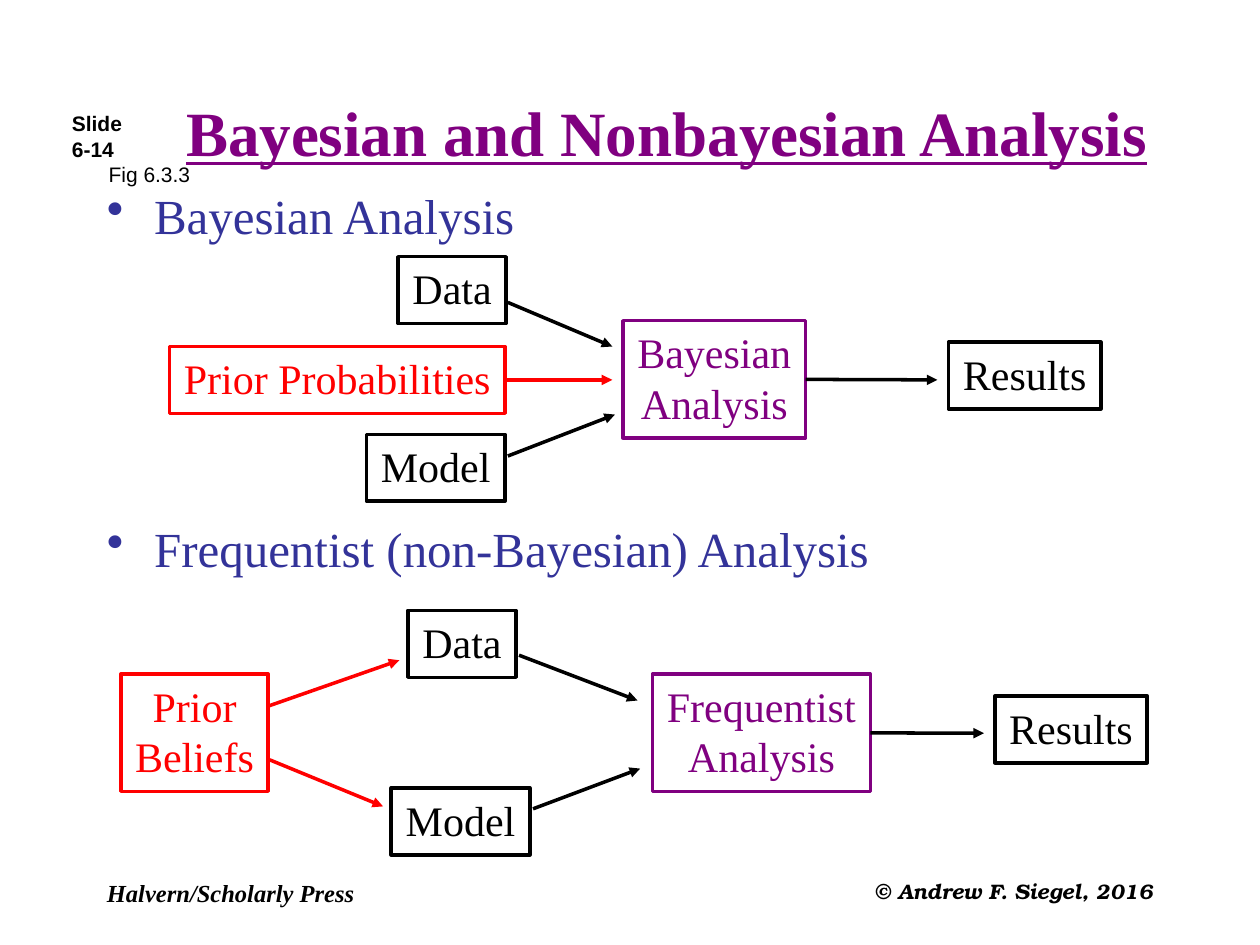
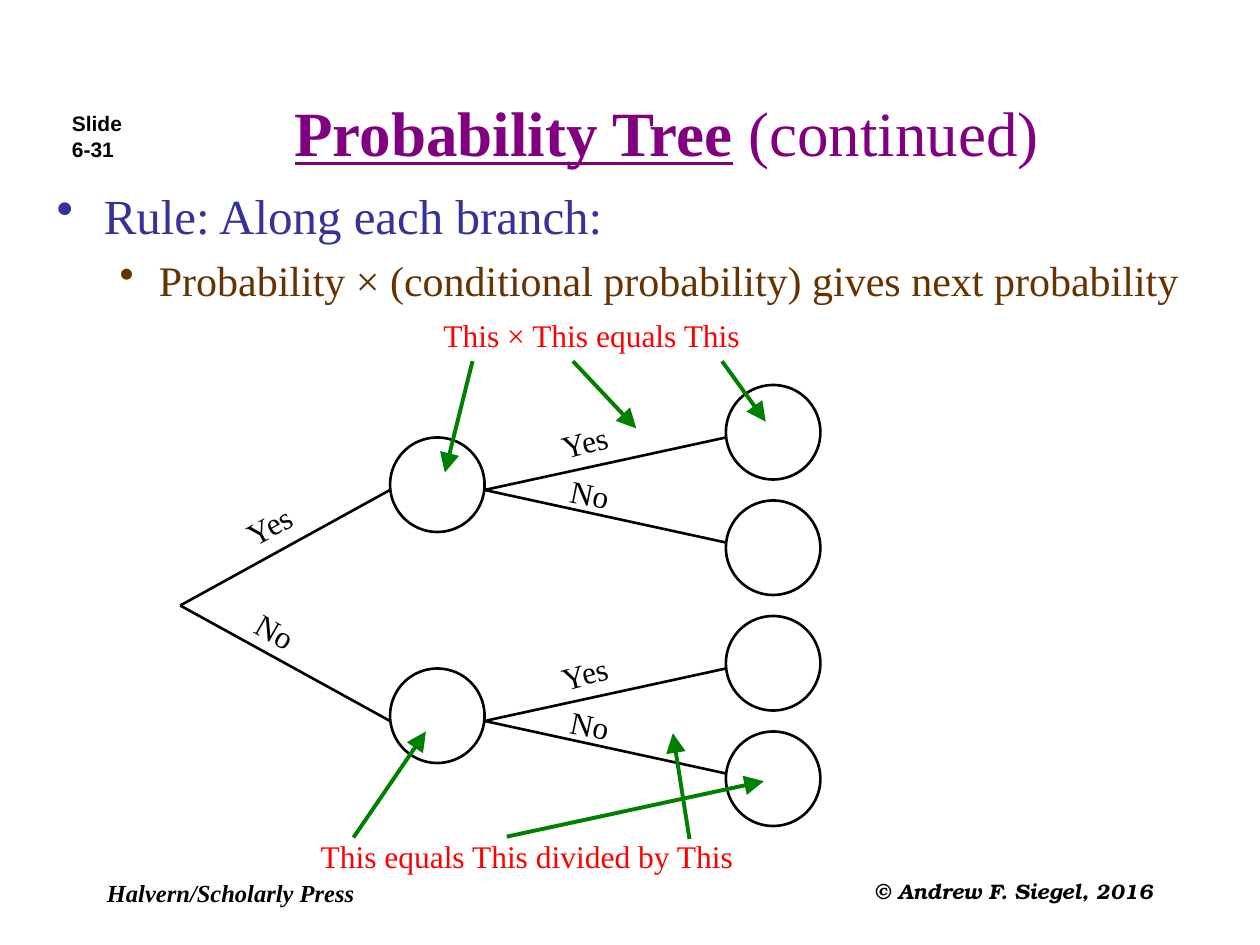
from lxml.etree import SubElement
from pptx import Presentation
from pptx.dml.color import RGBColor
from pptx.enum.shapes import MSO_CONNECTOR, MSO_SHAPE
from pptx.enum.text import MSO_ANCHOR, PP_ALIGN
from pptx.oxml.ns import qn
from pptx.util import Pt

BLACK = RGBColor(0x00, 0x00, 0x00)
RED = RGBColor(0xFF, 0x00, 0x00)
GREEN = RGBColor(0x00, 0x80, 0x00)
PURPLE = RGBColor(0x80, 0x00, 0x80)
BLUE = RGBColor(0x33, 0x33, 0x99)
BROWN = RGBColor(0x66, 0x33, 0x00)

SERIF = "Times New Roman"
TITLE = {"name": SERIF, "size": Pt(36), "bold": True, "underline": True}
TITLE_NOTE = {"name": SERIF, "size": Pt(36), "bold": False, "underline": False}
NUMBER = {"name": "Arial", "size": Pt(12), "bold": True}
CAPTION = {"name": "Arial", "size": Pt(12)}
BULLET = {"name": SERIF, "size": Pt(28)}
BOX = {"name": SERIF, "size": Pt(24)}
LABEL = {"name": SERIF, "size": Pt(18)}
PUBLISHER = {"name": SERIF, "size": Pt(14), "bold": True, "italic": True}
COPYRIGHT = {"name": "TeX Gyre Bonum", "size": Pt(12), "bold": True, "italic": True}


def write_text(shape, paragraphs, color, alignment=PP_ALIGN.LEFT, anchor=MSO_ANCHOR.TOP):
    frame = shape.text_frame
    frame.word_wrap = alignment != PP_ALIGN.CENTER
    frame.vertical_anchor = anchor
    for index, runs in enumerate(paragraphs):
        paragraph = frame.add_paragraph() if index else frame.paragraphs[0]
        paragraph.alignment = alignment
        for text, format_values in runs:
            run = paragraph.add_run()
            run.text = text
            run.font.color.rgb = color
            for name, value in format_values.items():
                setattr(run.font, name, value)
    return frame


def add_line(slide, start, end, color, width, head_size=None):
    points = [Pt(value) for value in (*start, *end)]
    connector = slide.shapes.add_connector(MSO_CONNECTOR.STRAIGHT, *points)
    connector.line.color.rgb = color
    connector.line.width = Pt(width)
    properties = connector._element.spPr
    if head_size:
        SubElement(properties.find(qn("a:ln")), qn("a:tailEnd"),
                   type="triangle", w=head_size, len=head_size)
    SubElement(properties, qn("a:effectLst"))
    return connector


presentation = Presentation()
presentation.slide_width = Pt(720)
presentation.slide_height = Pt(540)

slide_contents = [
    ("6-14", [("Bayesian and Nonbayesian Analysis", TITLE)], (54, 612), [
        ("Bayesian Analysis", 28, BLUE, 27, 27, 0),
        ("Frequentist (non-Bayesian) Analysis", 28, BLUE, 27, 27, 157),
    ]),
    ("6-31", [("Probability Tree", TITLE), (" (continued)", TITLE_NOTE)], (25.2, 661.7), [
        ("Rule: Along each branch:", 28, BLUE, 27, 27, 0),
        ("Probability × (conditional probability) gives next probability",
         24, BROWN, 58.5, 22.5, 6),
    ]),
]

slides = []
for number, title, (body_left, body_width), bullets in slide_contents:
    slide = presentation.slides.add_slide(presentation.slide_layouts[6])
    slides.append(slide)
    shared_texts = [
        ((34, 59.8, 82.8, 36), [[("Slide", NUMBER)], [(number, NUMBER)]],
         BLACK, PP_ALIGN.LEFT, MSO_ANCHOR.TOP),
        ((95.8, 48, 570.2, 54), [title], PURPLE, PP_ALIGN.CENTER, MSO_ANCHOR.MIDDLE),
        ((54, 498.2, 165, 30.2), [[("Halvern/Scholarly Press", PUBLISHER)]],
         BLACK, PP_ALIGN.LEFT, MSO_ANCHOR.TOP),
        ((408.2, 498.2, 257.8, 30.2), [[("© Andrew F. Siegel, 2016", COPYRIGHT)]],
         BLACK, PP_ALIGN.RIGHT, MSO_ANCHOR.TOP),
    ]
    for bounds, paragraphs, color, alignment, anchor in shared_texts:
        text_box = slide.shapes.add_textbox(*[Pt(value) for value in bounds])
        write_text(text_box, paragraphs, color, alignment, anchor)

    body = slide.shapes.add_textbox(Pt(body_left), Pt(102.2), Pt(body_width), Pt(378))
    frame = write_text(body, [[(bullet[0], BULLET)] for bullet in bullets], BLUE)
    for paragraph, bullet in zip(frame.paragraphs, bullets):
        text, size, color, margin, hanging, space_before = bullet
        paragraph.space_before = Pt(space_before)
        paragraph.runs[0].font.size = Pt(size)
        paragraph.runs[0].font.color.rgb = color
        properties = paragraph._p.get_or_add_pPr()
        properties.set("marL", str(Pt(margin)))
        properties.set("indent", str(-Pt(hanging)))
        bullet_color = SubElement(properties, qn("a:buClr"))
        SubElement(bullet_color, qn("a:srgbClr"), val=str(color))
        SubElement(properties, qn("a:buChar"), char="•")

analysis_slide, tree_slide = slides

caption = analysis_slide.shapes.add_textbox(Pt(55), Pt(88.6), Pt(70), Pt(21.6))
write_text(caption, [[("Fig 6.3.3", CAPTION)]], BLACK)

analysis_boxes = [
    ("Bayesian", ["Bayesian", "Analysis"], 356, 183.3, 104.4, PURPLE),
    ("Bayesian data", ["Data"], 227.3, 146.7, 62, BLACK),
    ("Prior probabilities", ["Prior Probabilities"], 97, 198, 191.5, RED),
    ("Bayesian model", ["Model"], 209.4, 248.2, 79.2, BLACK),
    ("Bayesian results", ["Results"], 542, 195.5, 87.1, BLACK),
    ("Frequentist data", ["Data"], 233, 348.9, 62, BLACK),
    ("Prior beliefs", ["Prior", "Beliefs"], 69.1, 385.2, 84.2, RED),
    ("Frequentist model", ["Model"], 223.6, 450.3, 79.2, BLACK),
    ("Frequentist", ["Frequentist", "Analysis"], 372.8, 385.3, 124.6, PURPLE),
    ("Frequentist results", ["Results"], 568.5, 397.7, 87.1, BLACK),
]
boxes = {}
for name, lines, left, top, width, color in analysis_boxes:
    height = 38.2 if len(lines) == 1 else 67
    box = analysis_slide.shapes.add_shape(
        MSO_SHAPE.RECTANGLE, Pt(left), Pt(top), Pt(width), Pt(height))
    box.shadow.inherit = False
    box.fill.background()
    box.line.color.rgb = color
    box.line.width = Pt(2)
    write_text(box, [[(line, BOX)] for line in lines], color, PP_ALIGN.CENTER)
    boxes[name] = box

for start, end, color in [
    ((290.2, 172.8), (349.9, 198), BLACK),
    ((290.2, 260.6), (351.4, 236.9), BLACK),
    ((296.6, 374.4), (364.3, 400.3), BLACK),
    ((304.6, 462.2), (365.8, 439.2), BLACK),
    ((154.1, 434.2), (218.9, 460.8), RED),
    ((154.1, 403.2), (228.2, 377.3), RED),
]:
    add_line(analysis_slide, start, end, color, 2, "med")

for name, end, color in [
    ("Prior probabilities", (349.9, 217.1), RED),
    ("Bayesian", (535.7, 217.1), BLACK),
    ("Frequentist", (562.3, 419), BLACK),
]:
    connector = add_line(analysis_slide, (0, end[1]), end, color, 2, "med")
    connector.begin_connect(boxes[name], 3)

root = (103, 346)
node_left, leaf_left, diameter = 222.9, 414.8, 54
node_spacing, leaf_spacing = 132, 66
circles = [(node_left, 250 + node_spacing * index) for index in range(2)]
circles += [(leaf_left, 220 + leaf_spacing * index) for index in range(4)]
tree_labels = [("Yes", 132.5, 285.8, 42.5, 331.2), ("No", 139, 346.3, 36.7, 29.7)]

for index in range(2):
    offset = node_spacing * index
    node_y = 280 + offset
    add_line(tree_slide, root, (node_left, node_y), BLACK, 1.5)
    for leaf_y in (node_y - 30, node_y + 30):
        add_line(tree_slide, (node_left + diameter, node_y), (leaf_left, leaf_y), BLACK, 1.5)
    tree_labels += [("Yes", 312.8, 238.2 + offset, 42.5, 345.1),
                    ("No", 318.8, 267.8 + offset, 36.7, 11.5)]

for left, top in circles:
    circle = tree_slide.shapes.add_shape(
        MSO_SHAPE.OVAL, Pt(left), Pt(top), Pt(diameter), Pt(diameter))
    circle.shadow.inherit = False
    circle.fill.background()
    circle.line.color.rgb = BLACK
    circle.line.width = Pt(1.5)

rule_labels = [
    ("This × This equals This", 246, 177.1, 184.3, 0),
    ("This equals This divided by This", 175.8, 474.5, 250.6, 0),
]
for labels, color in [(tree_labels, BLACK), (rule_labels, RED)]:
    for text, left, top, width, rotation in labels:
        label = tree_slide.shapes.add_textbox(Pt(left), Pt(top), Pt(width), Pt(28.8))
        label.rotation = rotation
        write_text(label, [[(text, LABEL)]], color, PP_ALIGN.CENTER)

for start, end in [
    ((270, 206.4), (254.2, 270)),
    ((327.4, 206.4), (363.6, 244.8)),
    ((412.6, 206.4), (437.6, 241)),
    ((202, 478.6), (243.4, 418)),
    ((289.6, 478.1), (436.5, 446.4)),
    ((394, 479.5), (384.5, 419)),
]:
    add_line(tree_slide, start, end, GREEN, 2.25, "lg")

presentation.save("out.pptx")
